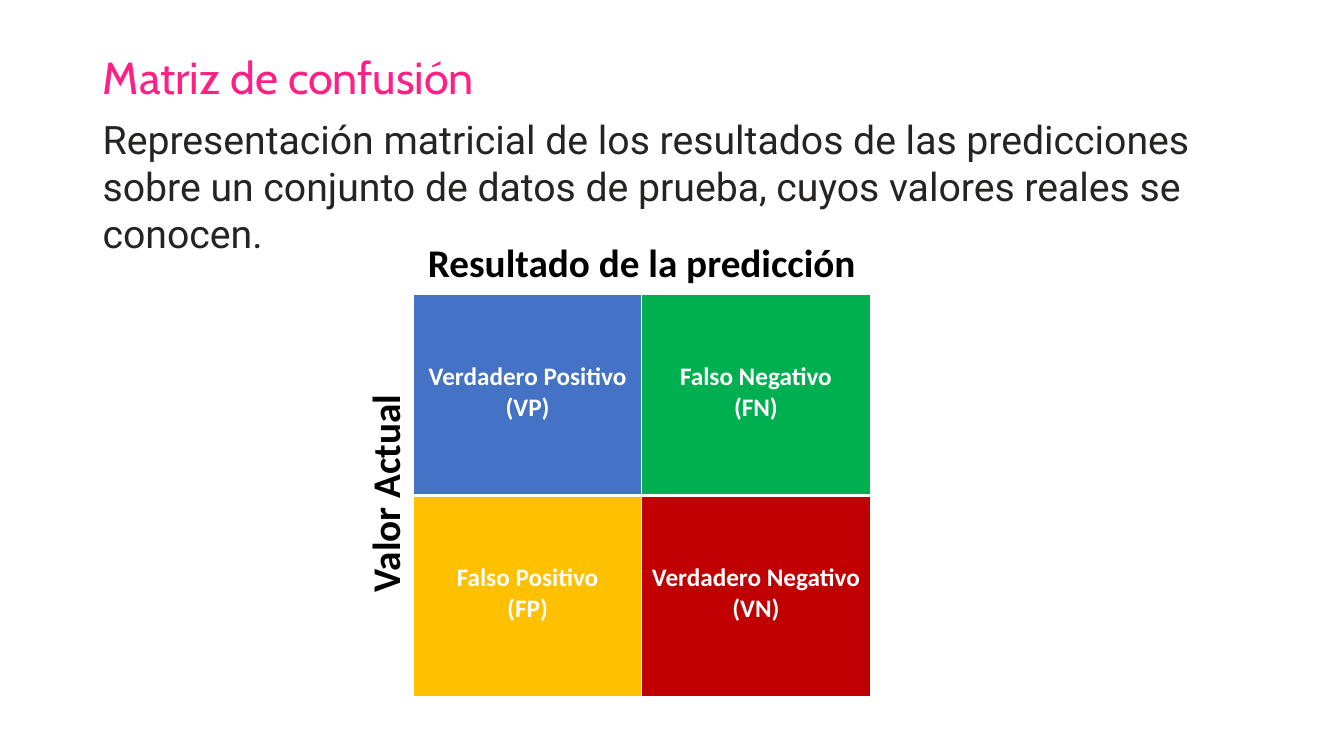
from dataclasses import dataclass

from lxml import etree
from pptx import Presentation
from pptx import util as u
from pptx.dml.color import RGBColor
from pptx.enum import text
from pptx.oxml.ns import qn


@dataclass(frozen=True)
class Theme:
    title_font: str = "Cabin"
    body_font: str = "Roboto"
    matrix_font: str = "Calibri"
    title_size: int = 32
    body_size: int = 28
    cell_size: int = 18
    pink: str = "FF1F85"
    ink: str = "252423"
    black: str = "000000"
    white: str = "FFFFFF"
    blue: str = "4472C4"
    green: str = "00B050"
    amber: str = "FFC000"
    red: str = "C00000"


class SlideBuilder:
    def __init__(self, page, theme):
        self.page = page
        self.theme = theme

    def place(self, box, left, top, width, height):
        box.left, box.top = u.Inches(left), u.Inches(top)
        box.width, box.height = u.Inches(width), u.Inches(height)

    def style(self, frame, font, size, color, bold=False, align=text.PP_ALIGN.LEFT):
        for para in frame.paragraphs:
            para.alignment = align
            for span in para.runs:
                span.font.name = font
                span.font.size = u.Pt(size)
                span.font.bold = bold
                span.font.color.rgb = RGBColor.from_string(color)

    def title(self, words, *area):
        box = self.page.shapes.title
        self.place(box, *area)
        frame = box.text_frame
        frame.text = words
        frame.auto_size = text.MSO_AUTO_SIZE.NONE
        frame.vertical_anchor = text.MSO_ANCHOR.MIDDLE
        frame.paragraphs[0].line_spacing = 0.9
        self.style(frame, self.theme.title_font, self.theme.title_size, self.theme.pink)

    def text_box(self, words, *area, rotation=0):
        box = self.page.shapes.add_textbox(*map(u.Inches, area))
        box.rotation = rotation
        frame = box.text_frame
        frame.word_wrap = True
        frame.text = words
        return frame

    def body(self, words, *area):
        frame = self.text_box(words, *area)
        self.style(frame, self.theme.body_font, self.theme.body_size, self.theme.ink)

    def axis_label(self, words, *area, rotation=0):
        frame = self.text_box(words, *area, rotation=rotation)
        self.style(frame, self.theme.matrix_font, self.theme.body_size,
                   self.theme.black, True, text.PP_ALIGN.CENTER)

    def border(self, cell, side, points):
        properties = cell._tc.get_or_add_tcPr()
        line = etree.SubElement(properties, qn(f"a:ln{side}"), w=str(u.Pt(points)))
        fill = etree.SubElement(line, qn("a:solidFill"))
        etree.SubElement(fill, qn("a:srgbClr"), val=self.theme.white)

    def matrix(self, rows, left, top, width, height):
        frame = self.page.shapes.add_table(
            len(rows), len(rows[0]), *map(u.Inches, (left, top, width, height)))
        table = frame.table
        table.first_row = table.horz_banding = False
        for row_index, row in enumerate(rows):
            for column_index, (words, color) in enumerate(row):
                cell = table.cell(row_index, column_index)
                inner_side = "B" if row_index == 0 else "T"
                for side in "LRTB":
                    self.border(cell, side, 3 if side == inner_side else 1)
                cell.fill.solid()
                cell.fill.fore_color.rgb = RGBColor.from_string(color)
                cell.vertical_anchor = text.MSO_ANCHOR.MIDDLE
                cell.margin_left = cell.margin_right = u.Inches(0.05)
                cell.margin_bottom = u.Inches(0.1)
                cell.text_frame.text = words
                self.style(cell.text_frame, self.theme.matrix_font, self.theme.cell_size,
                           self.theme.white, True, text.PP_ALIGN.CENTER)


def main():
    deck = Presentation()
    deck.slide_width, deck.slide_height = u.Inches(13.33), u.Inches(7.5)
    theme = Theme()
    slide = SlideBuilder(deck.slides.add_slide(deck.slide_layouts[5]), theme)
    slide.title("Matriz de confusión", 0.92, 0.4, 11.5, 0.78)
    slide.body(
        "Representación matricial de los resultados de las predicciones sobre un "
        "conjunto de datos de prueba, cuyos valores reales se conocen.",
        0.92, 1.09, 11.26, 1.04)
    outcomes = [
        [("Verdadero Positivo\n(VP)", theme.blue), ("Falso Negativo\n(FN)", theme.green)],
        [("Falso Positivo\n(FP)", theme.amber), ("Verdadero Negativo\n(VN)", theme.red)],
    ]
    slide.matrix(outcomes, 4.1, 2.92, 4.53, 3.99)
    slide.axis_label("Resultado de la predicción", 4.1, 2.32, 4.53, 0.57)
    slide.axis_label("Valor Actual", 1.81, 4.61, 4.01, 0.57, rotation=270)
    deck.save("out.pptx")


if __name__ == "__main__":
    main()
